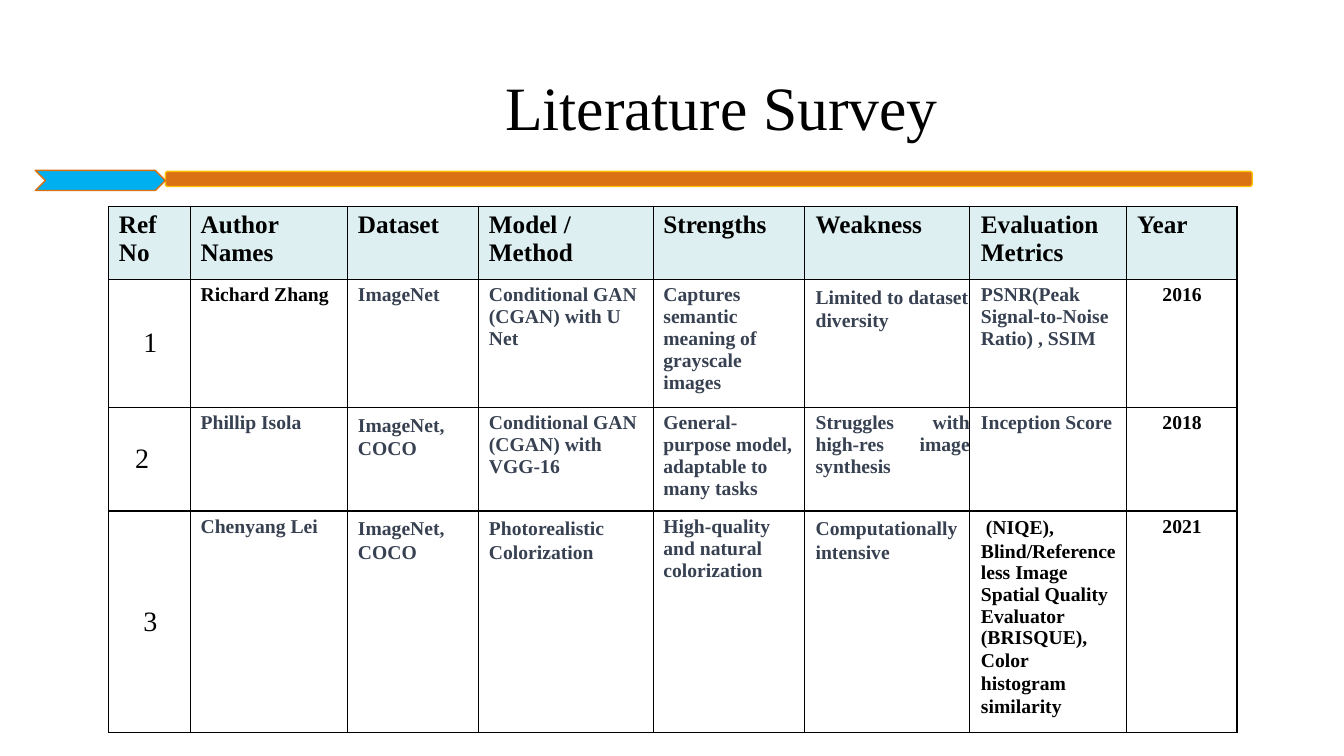
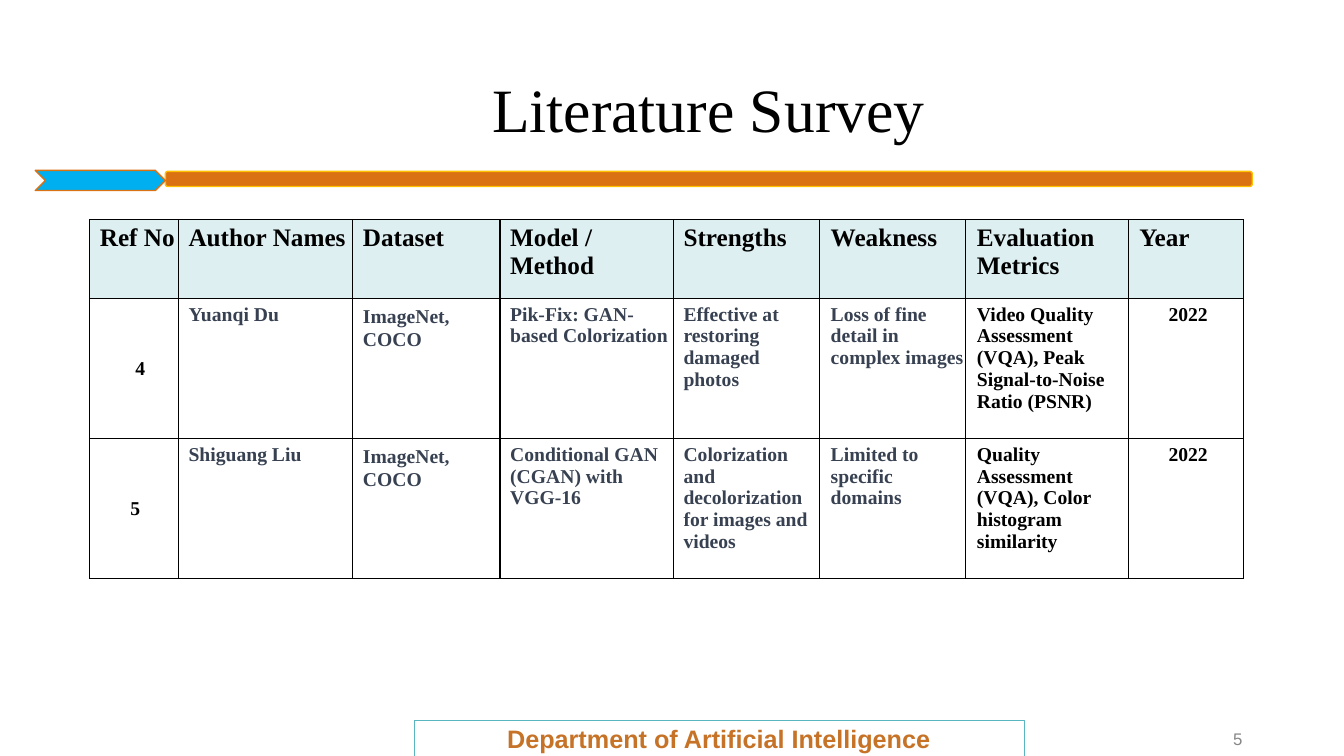
from dataclasses import dataclass

from lxml.etree import SubElement
from pptx import Presentation
from pptx.dml.color import RGBColor
from pptx.enum.shapes import MSO_SHAPE as Preset
from pptx.enum.text import MSO_ANCHOR as Anchor, MSO_AUTO_SIZE as AutoSize, PP_ALIGN as Align
from pptx.oxml.ns import qn
from pptx.util import Emu, Pt

# Scale: 100 px to the inch
PX = 9144

# Colours
BLACK = RGBColor(0x00, 0x00, 0x00)
SLATE = RGBColor(0x37, 0x41, 0x51)
HEADER_FILL = RGBColor(0xDE, 0xEF, 0xF1)
ORANGE = RGBColor(0xDA, 0x71, 0x13)
GOLD = RGBColor(0xFF, 0xC0, 0x00)
SKY = RGBColor(0x00, 0xAF, 0xEF)
TEAL = RGBColor(0x57, 0xB6, 0xC0)
RUST = RGBColor(0xC6, 0x73, 0x27)
GREY = RGBColor(0x87, 0x87, 0x87)

# Text formats
SERIF, SANS = "Times New Roman", "Arial"
TITLE = {"name": SERIF, "size": Pt(44), "bold": False}
HEADER = {"name": SERIF, "size": Pt(18), "bold": True}
BODY = {"name": SERIF, "size": Pt(14), "bold": True}
BIG_NUMBER = {"name": SERIF, "size": Pt(20), "bold": False}
FOOTER = {"name": SANS, "size": Pt(18), "bold": True}
PAGE_NUMBER = {"name": SANS, "size": Pt(12), "bold": False}

TIGHT = 1.01
LOOSE = Pt(16.5)


@dataclass(frozen=True)
class Line:
    text: str
    leading: float | Pt = TIGHT
    indent: int = 0


@dataclass(frozen=True)
class Entry:
    lines: tuple[Line, ...]
    color: RGBColor = SLATE
    format: dict | None = None
    align: Align = Align.LEFT
    anchor: Anchor = Anchor.TOP
    top: int = 5
    right: int = 0
    fill: RGBColor | None = None


@dataclass(frozen=True)
class Band:
    preset: Preset
    box: tuple[int, int, int, int]
    adjust: float
    fill: RGBColor
    line: RGBColor


@dataclass(frozen=True)
class Survey:
    title_inset: tuple[int, int]
    corner: tuple[int, int]
    columns: tuple[int, ...]
    rows: tuple[int, ...]
    entries: tuple[tuple[Entry, ...], ...]


# Kinds of table entry
def plain(text: str, color: RGBColor = SLATE, align: Align = Align.LEFT) -> Entry:
    return Entry((Line(text),), color, align=align)


def loose(*texts: str) -> Entry:
    return Entry(tuple(Line(text, LOOSE) for text in texts), top=6)


def heading(text: str) -> Entry:
    return Entry((Line(text),), BLACK, HEADER, top=4, fill=HEADER_FILL)


def number(text: str, right: int, format: dict) -> Entry:
    return Entry((Line(text),), BLACK, format, Align.RIGHT, Anchor.MIDDLE, 0, right)


def year(text: str) -> Entry:
    return Entry((Line(text),), BLACK, align=Align.RIGHT, right=35)


# Content
BANDS = (
    Band(Preset.ROUNDED_RECTANGLE, (164, 170, 1078, 15), 0.16, ORANGE, GOLD),
    Band(Preset.CHEVRON, (35, 169, 129, 20), 0.5, SKY, ORANGE),
)

HEADINGS = tuple(heading(text) for text in (
    "Ref No", "Author Names", "Dataset", "Model / Method",
    "Strengths", "Weakness", "Evaluation Metrics", "Year"))

QUALITY_METRICS = Entry((
    Line("(NIQE),", LOOSE, 5),
    Line("Blind/Reference", LOOSE),
    Line("less Image Spatial Quality Evaluator (BRISQUE),", 1.0),
    Line("Color", LOOSE),
    Line("histogram similarity", LOOSE),
), BLACK)

FIRST_SURVEY = Survey(
    (458, 38), (108, 205),
    (81, 156, 130, 173, 150, 164, 155, 110), (72, 127, 103, 220),
    (
        HEADINGS,
        (number("1", 33, BIG_NUMBER), plain("Richard Zhang", BLACK), plain("ImageNet"),
         plain("Conditional GAN (CGAN) with U Net"),
         plain("Captures semantic meaning of grayscale images"),
         loose("Limited to dataset diversity"),
         plain("PSNR(Peak Signal-to-Noise Ratio) , SSIM"), year("2016")),
        (number("2", 41, BIG_NUMBER), plain("Phillip Isola"), loose("ImageNet, COCO"),
         plain("Conditional GAN (CGAN) with VGG-16"),
         plain("General-purpose model, adaptable to many tasks"),
         plain("Struggles with high-res image synthesis", align=Align.JUSTIFY),
         plain("Inception Score"), year("2018")),
        (number("3", 33, BIG_NUMBER), plain("Chenyang Lei"), loose("ImageNet, COCO"),
         loose("Photorealistic Colorization"),
         plain("High-quality and natural colorization"),
         loose("Computationally intensive"),
         QUALITY_METRICS, year("2021")),
    ),
)

SECOND_SURVEY = Survey(
    (445, 40), (89, 218),
    (88, 173, 146, 172, 145, 145, 161, 114), (78, 139, 139),
    (
        HEADINGS,
        (number("4", 33, BODY), plain("Yuanqi Du"), loose("ImageNet,", "COCO"),
         plain("Pik-Fix: GAN-based Colorization"),
         plain("Effective at restoring damaged photos"),
         plain("Loss of fine detail in complex images"),
         plain("Video Quality Assessment (VQA), Peak Signal-to-Noise Ratio (PSNR)", BLACK),
         year("2022")),
        (number("5", 38, BODY), plain("Shiguang Liu"), loose("ImageNet,", "COCO"),
         plain("Conditional GAN (CGAN) with VGG-16"),
         plain("Colorization and decolorization for images and videos"),
         plain("Limited to specific domains"),
         plain("Quality Assessment (VQA), Color histogram similarity", BLACK),
         year("2022")),
    ),
)


# Drawing helpers
def px(*lengths: int) -> list[Emu]:
    return [Emu(length * PX) for length in lengths]


def write(para, text: str, format: dict, color: RGBColor) -> None:
    span = para.add_run()
    span.text = text
    for name, value in format.items():
        setattr(span.font, name, value)
    span.font.color.rgb = color


def set_frame(frame, left: int = 0, top: int = 0) -> None:
    values = {
        "margin_left": Emu(left * PX), "margin_top": Emu(top * PX),
        "margin_right": 0, "margin_bottom": 0, "word_wrap": True,
        "auto_size": AutoSize.NONE, "vertical_anchor": Anchor.TOP,
    }
    for name, value in values.items():
        setattr(frame, name, value)


def add_title(page, inset: tuple[int, int]) -> None:
    title = page.shapes.title
    title.left, title.top, title.width, title.height = px(43, 30, 1247, 126)
    set_frame(title.text_frame, *inset)
    para = title.text_frame.paragraphs[0]
    para.alignment = Align.LEFT
    write(para, "Literature Survey", TITLE, BLACK)


def add_band(page, band: Band) -> None:
    shape = page.shapes.add_shape(band.preset, *px(*band.box))
    shape.adjustments[0] = band.adjust
    shape.shadow.inherit = False
    shape.fill.solid()
    shape.fill.fore_color.rgb = band.fill
    shape.line.color.rgb = band.line
    shape.line.width = Pt(1)


def add_label(page, text: str, box: tuple[int, int, int, int], format: dict,
              color: RGBColor) -> None:
    label = page.shapes.add_textbox(*px(*box))
    set_frame(label.text_frame, 1, 1)
    write(label.text_frame.paragraphs[0], text, format, color)


def add_borders(cell) -> None:
    properties = cell._tc.get_or_add_tcPr()
    for side in ("a:lnL", "a:lnR", "a:lnT", "a:lnB"):
        line = SubElement(properties, qn(side), w=str(Pt(1)))
        fill = SubElement(line, qn("a:solidFill"))
        SubElement(fill, qn("a:srgbClr"), val=str(BLACK))


def fill_cell(cell, entry: Entry, left: int) -> None:
    margins = px(left, entry.top, entry.right, 0)
    for side, margin in zip(("left", "top", "right", "bottom"), margins):
        setattr(cell, f"margin_{side}", margin)
    cell.vertical_anchor = entry.anchor
    add_borders(cell)
    if entry.fill is None:
        cell.fill.background()
    else:
        cell.fill.solid()
        cell.fill.fore_color.rgb = entry.fill
    frame = cell.text_frame
    for index, line in enumerate(entry.lines):
        para = frame.add_paragraph() if index else frame.paragraphs[0]
        para.alignment = entry.align
        para.line_spacing = line.leading
        if line.indent:
            para._p.get_or_add_pPr().set("marL", str(line.indent * PX))
        write(para, line.text, entry.format or BODY, entry.color)


def add_survey_table(page, survey: Survey) -> None:
    size = (sum(survey.columns), sum(survey.rows))
    table = page.shapes.add_table(len(survey.rows), len(survey.columns),
                                  *px(*survey.corner, *size)).table
    table.first_row = table.horz_banding = False
    for column, width in zip(table.columns, px(*survey.columns)):
        column.width = width
    for row, height, entries in zip(table.rows, px(*survey.rows), survey.entries):
        row.height = height
        for index, (cell, entry) in enumerate(zip(row.cells, entries)):
            fill_cell(cell, entry, 10 if index < 5 else 11)


def add_footer(page) -> None:
    outline = page.shapes.build_freeform(1016, 750, scale=PX)
    outline.add_line_segments([(1016, 715), (411, 715), (411, 750)], close=False)
    frame = outline.convert_to_shape()
    frame.shadow.inherit = False
    frame.fill.background()
    frame.line.color.rgb = TEAL
    frame.line.width = Pt(1)
    add_label(page, "Department of Artificial Intelligence", (502, 717, 440, 33), FOOTER, RUST)
    add_label(page, "5", (1222, 722, 12, 23), PAGE_NUMBER, GREY)


def add_survey_page(deck, survey: Survey):
    page = deck.slides.add_slide(deck.slide_layouts[5])
    for band in BANDS:
        add_band(page, band)
    add_title(page, survey.title_inset)
    add_survey_table(page, survey)
    return page


def main() -> None:
    deck = Presentation()
    deck.slide_width, deck.slide_height = px(1333, 750)
    add_survey_page(deck, FIRST_SURVEY)
    add_footer(add_survey_page(deck, SECOND_SURVEY))
    deck.save("out.pptx")


if __name__ == "__main__":
    main()
